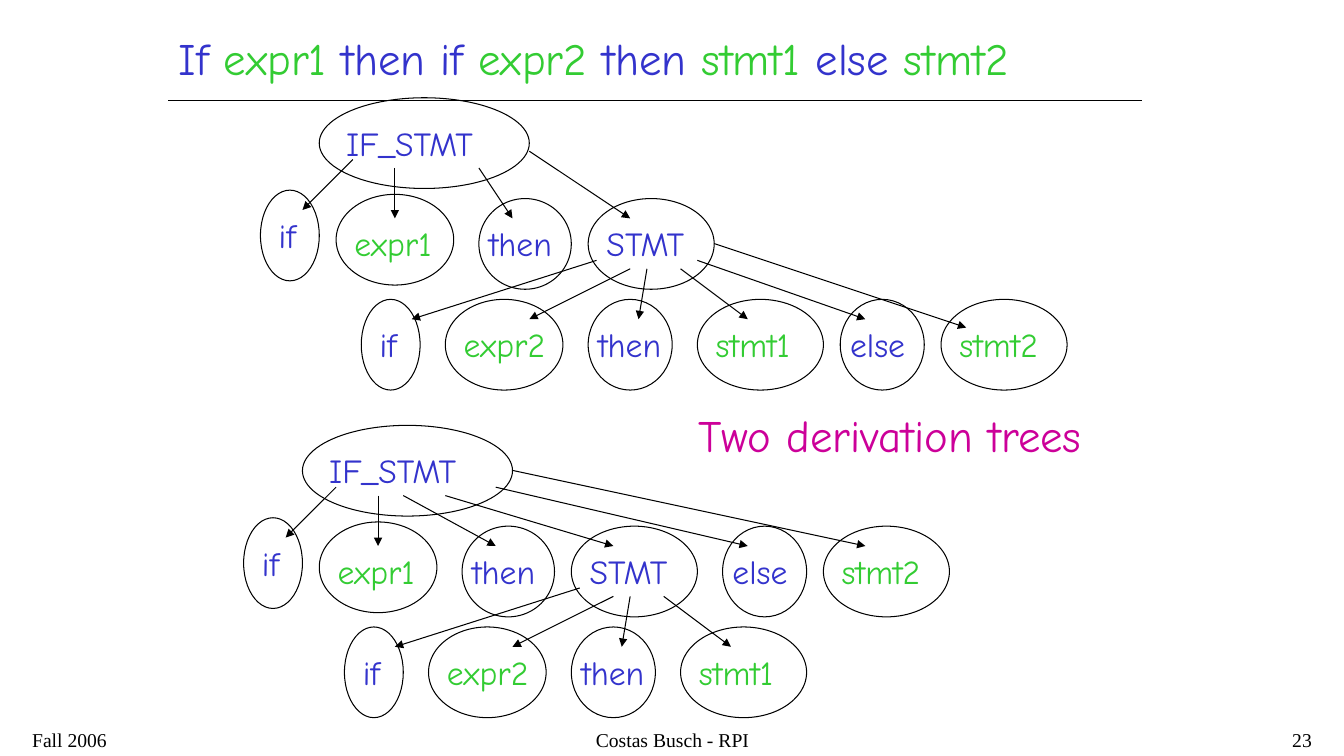
from math import ceil

from lxml import etree
from pptx import Presentation
from pptx import util as u
from pptx.dml.color import RGBColor
from pptx.enum import shapes, text
from pptx.oxml import ns

UNIT = 1 / 12
BLUE, GREEN, MAGENTA, BLACK = "3333CC", "33CC33", "CC0099", "000000"
HAND, SERIF = "Comic Neue", "Times New Roman"
LABEL_WIDTHS = {"IF_STMT": 1.78, "STMT": 1.18, "if": 0.47, "then": 0.91, "else": 0.82,
                "expr1": 1.07, "expr2": 1.12, "stmt1": 1.08, "stmt2": 1.14}
TERMINALS = ("expr1", "expr2", "stmt1", "stmt2")

# Nodes: word, column, row, width, label indent. Arrows: from column, row, to column, row.
SHARED_NODES = [
    ("IF_STMT", 7, 0, 25, 2), ("if", 0, 11, 7, 1), ("expr1", 9, 11.5, 14, 1),
    ("then", 26, 12, 11, 0), ("STMT", 39, 12, 15, 1), ("if", 12, 24, 7, 1),
    ("expr2", 22, 24, 14, 1), ("then", 39, 24, 10, 0), ("stmt1", 52, 24, 15, 1)]
SHARED_ARROWS = [
    (11, 7, 5, 13), (16, 8, 16, 14), (40, 19, 18, 26),
    (44, 20, 32, 26), (46, 20, 45, 26), (50, 20, 58, 26)]
INNER_ELSE_NODES = [("else", 69, 24, 10, 0), ("stmt2", 81, 24, 15, 1)]
INNER_ELSE_ARROWS = [(26, 8, 30, 14), (32, 6, 44, 14), (52, 19, 72, 26), (54, 17, 84, 27)]
OUTER_ELSE_NODES = [("else", 57, 12, 10, 0), ("stmt2", 69, 12, 15, 1)]
OUTER_ELSE_ARROWS = [(19, 8, 30, 14), (24, 8, 44, 14), (30, 7, 60, 14), (32, 5, 74, 14)]


def color(value):
    """Return the colour for a hex string."""
    return RGBColor.from_string(value)


def word_color(word):
    """Return green for terminals of the grammar and blue for the rest."""
    return GREEN if word in TERMINALS else BLUE


def fill_text(shape, runs, size, font, align=text.PP_ALIGN.LEFT, wrap=False):
    """Write coloured runs into a shape as one paragraph."""
    frame = shape.text_frame
    frame.word_wrap = wrap
    frame.auto_size = text.MSO_AUTO_SIZE.NONE if wrap else text.MSO_AUTO_SIZE.SHAPE_TO_FIT_TEXT
    frame.vertical_anchor = text.MSO_ANCHOR.TOP
    paragraph = frame.paragraphs[0]
    paragraph.alignment = align
    for words, run_color in runs:
        run = paragraph.add_run()
        run.text = words
        run.font.size = u.Pt(size)
        run.font.name = font
        run.font.color.rgb = color(run_color)


def add_text(slide, box, *style, **options):
    """Add a text box at left, top, width and height in inches."""
    fill_text(slide.shapes.add_textbox(*map(u.Inches, box)), *style, **options)


def add_line(slide, ends, arrow=False):
    """Draw a thin black line, with an arrowhead at its end if asked."""
    line = slide.shapes.add_connector(shapes.MSO_CONNECTOR.STRAIGHT, *map(u.Inches, ends))
    line.line.color.rgb = color(BLACK)
    line.line.width = u.Pt(0.75)
    if arrow:
        etree.SubElement(line.line._get_or_add_ln(), ns.qn("a:tailEnd"),
                         type="triangle", w="med", len="med")
    etree.SubElement(line._element.spPr, ns.qn("a:effectLst"))


def add_node(slide, left, top, node):
    """Draw one ellipse of a tree with its word."""
    word, column, row, width, indent = node
    box = (left + column * UNIT, top + row * UNIT - 0.03, width * UNIT, 0.9)
    ellipse = slide.shapes.add_shape(shapes.MSO_SHAPE.OVAL, *map(u.Inches, box))
    ellipse.shadow.inherit = False
    ellipse.fill.background()
    ellipse.line.color.rgb = color(BLACK)
    ellipse.line.width = u.Pt(0.75)
    label = (left + (column + indent) * UNIT, top + (ceil(row) + 2) * UNIT,
             LABEL_WIDTHS[word], 0.5)
    add_text(slide, label, [(word, word_color(word))], 24, HAND)


def add_tree(slide, left, top, nodes, arrows):
    """Draw a derivation tree from its top left corner."""
    for node in SHARED_NODES + nodes:
        add_node(slide, left, top, node)
    for x1, y1, x2, y2 in SHARED_ARROWS + arrows:
        add_line(slide, (left + x1 * UNIT, top + y1 * UNIT,
                         left + x2 * UNIT, top + y2 * UNIT), arrow=True)


def add_title(slide, left, top, width, height):
    """Place the title with its terminals in green and a rule below."""
    title = slide.shapes.title
    title.left, title.top, title.width, title.height = map(
        u.Inches, (left, top, width, height))
    runs = [(words, word_color(words)) for words in
            ("If ", "expr1", " then if ", "expr2", " then ", "stmt1", " else ", "stmt2")]
    fill_text(title, runs, 32, HAND)
    add_line(slide, (left, 1, 11.33, 1))


def add_footer(slide, top, height):
    """Write the date, author and slide number along the bottom."""
    for words, left, width, align in (
            ("Fall 2006", 0.22, 2.78, text.PP_ALIGN.LEFT),
            ("Costas Busch - RPI", 4.56, 4.22, text.PP_ALIGN.CENTER),
            ("23", 10.33, 2.78, text.PP_ALIGN.RIGHT)):
        add_text(slide, (left, top, width, height), [(words, BLACK)], 14, SERIF,
                 align=align, wrap=True)


def main():
    """Build the slide and save it."""
    presentation = Presentation()
    presentation.slide_width, presentation.slide_height = u.Inches(13.33), u.Inches(7.5)
    slide = presentation.slides.add_slide(presentation.slide_layouts[5])
    add_footer(slide, 7.17, 0.33)
    add_title(slide, 1.67, 0.25, 9.62, 0.63)
    add_tree(slide, 31 * UNIT, 1, INNER_ELSE_NODES, INNER_ELSE_ARROWS)
    add_tree(slide, 29 * UNIT, 4.25, OUTER_ELSE_NODES, OUTER_ELSE_ARROWS)
    add_text(slide, (6.83, 4, 4.52, 0.63), [("Two derivation trees", MAGENTA)], 32, HAND)
    presentation.save("out.pptx")


if __name__ == "__main__":
    main()
